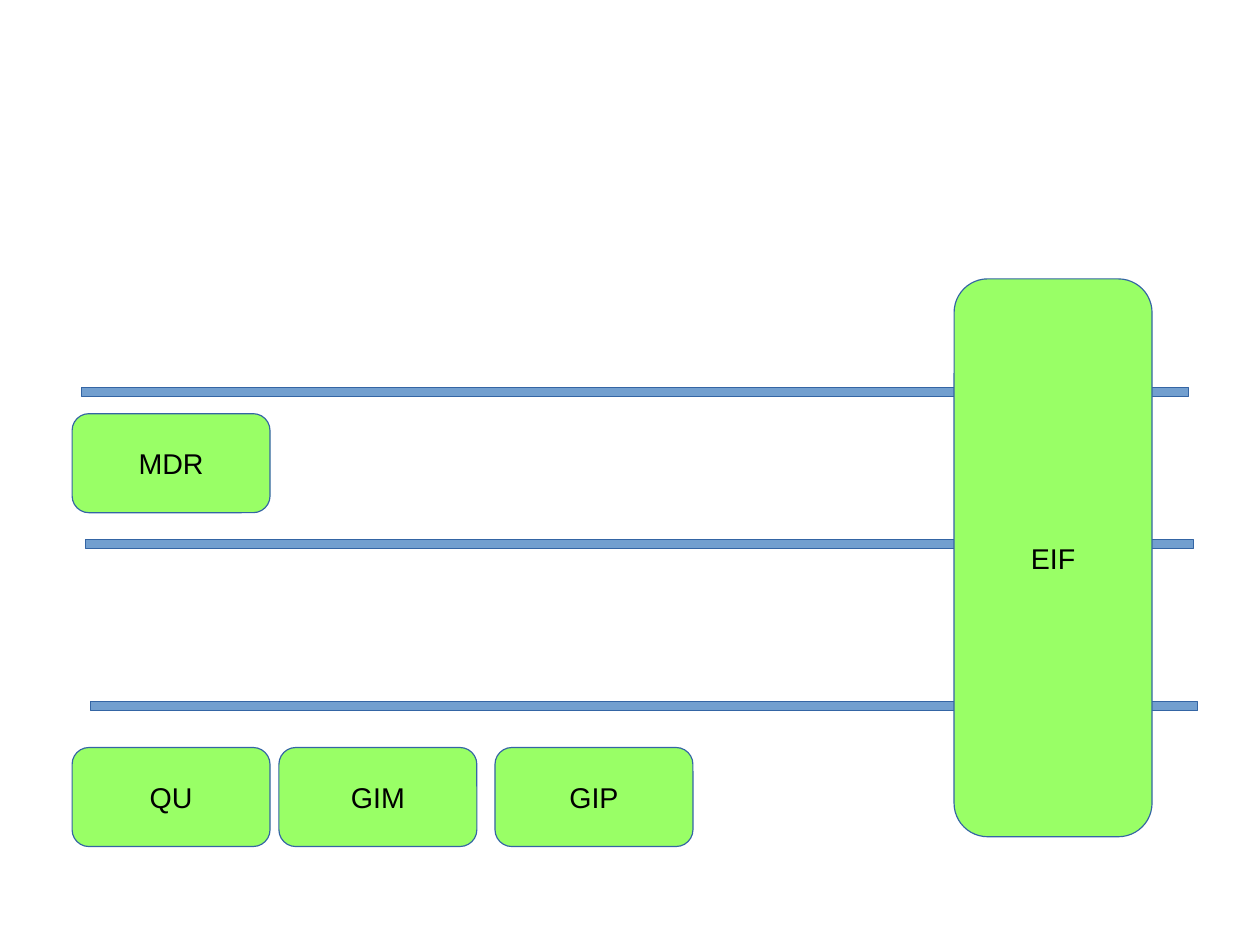
import pptx
import pptx.dml.color
import pptx.enum.shapes
import pptx.enum.text
import pptx.util

Pt = pptx.util.Pt
SHAPES = pptx.enum.shapes.MSO_SHAPE

BAR_WIDTH, BAR_HEIGHT = 697.7, 5.7
BOX_WIDTH, BOX_HEIGHT = 124.7, 62.4
BOX_LEFT = 45.4
BOTTOM_ROW_TOP = 470.9


def color(hex_text):
    return pptx.dml.color.RGBColor.from_string(hex_text)


def add_block(page, kind, left, top, width, height, fill):
    block = page.shapes.add_shape(kind, Pt(left), Pt(top), Pt(width), Pt(height))
    block.shadow.inherit = False
    block.fill.solid()
    block.fill.fore_color.rgb = color(fill)
    block.line.color.rgb = color("3465A4")
    block.line.width = Pt(0)
    return block


def write_text(box, text, *, size=18, font="Arial", fill="000000"):
    frame = box.text_frame
    frame.word_wrap = False
    frame.vertical_anchor = pptx.enum.text.MSO_ANCHOR.MIDDLE
    para = frame.paragraphs[0]
    para.alignment = pptx.enum.text.PP_ALIGN.CENTER
    span = para.add_run()
    span.text = text
    span.font.size = Pt(size)
    span.font.name = font
    span.font.color.rgb = color(fill)


def add_bar(page, left, top):
    add_block(page, SHAPES.RECTANGLE, left, top, BAR_WIDTH, BAR_HEIGHT, "729FCF")


def add_box(page, text, left, top, height=BOX_HEIGHT):
    box = add_block(page, SHAPES.ROUNDED_RECTANGLE, left, top, BOX_WIDTH, height, "99FF66")
    box.adjustments[0] = 0.17
    write_text(box, text)


def main():
    deck = pptx.Presentation()
    deck.slide_width, deck.slide_height = Pt(793.7), Pt(595.3)
    page = deck.slides.add_slide(deck.slide_layouts[6])

    for left, top in ((51.1, 244), (54, 339.9), (56.9, 442)):
        add_bar(page, left, top)

    add_box(page, "EIF", 601, 175.7, height=351.4)
    add_box(page, "MDR", BOX_LEFT, 260.6)
    for text, left in (("QU", BOX_LEFT), ("GIM", 175.7), ("GIP", 311.8)):
        add_box(page, text, left, BOTTOM_ROW_TOP)

    deck.save("out.pptx")


if __name__ == "__main__":
    main()
